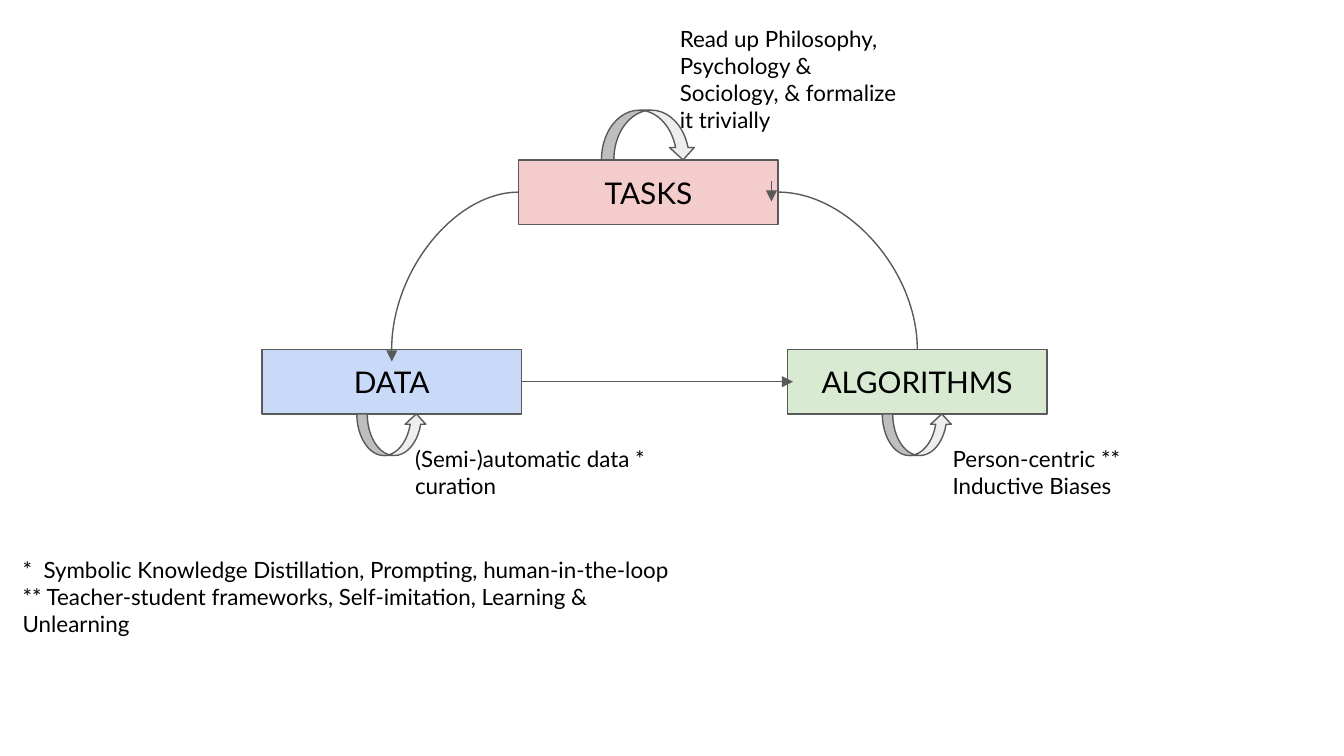
import pptx
import pptx.util
import pptx.dml.color
import pptx.enum.shapes
import pptx.enum.text
import pptx.oxml.ns
from lxml import etree

SHAPES = pptx.enum.shapes.MSO_SHAPE
CONNECTORS = pptx.enum.shapes.MSO_CONNECTOR
ANCHORS = pptx.enum.text.MSO_ANCHOR
ALIGNMENTS = pptx.enum.text.PP_ALIGN

# Square grid: one column or row is a hundredth of the slide's width
COLUMNS = 100
ROWS = COLUMNS * 9 / 16
UNIT = pptx.util.Inches(10) / COLUMNS
STAGE_WIDTH, STAGE_HEIGHT = 19.3, 4.8
TOP, LEFT, BOTTOM, RIGHT = range(4)
INK, GREY, PALE = "000000", "595959", "EEEEEE"


def grid(*lengths):
    return [round(length * UNIT) for length in lengths]


def color(value):
    return pptx.dml.color.RGBColor.from_string(value)


def outline(line):
    line.color.rgb = color(GREY)
    line.width = pptx.util.Pt(0.75)


def add_block(page, kind, box, fill):
    block = page.shapes.add_shape(kind, *grid(*box))
    block.shadow.inherit = False
    block.fill.solid()
    block.fill.fore_color.rgb = color(fill)
    outline(block.line)
    return block


def write(frame, lines, size, alignment=ALIGNMENTS.LEFT):
    frame.word_wrap = True
    frame.margin_left = frame.margin_right = pptx.util.Inches(0.1)
    frame.margin_top = frame.margin_bottom = pptx.util.Inches(0.1)
    frame.text = "\n".join(lines)
    for para in frame.paragraphs:
        para.alignment = alignment
        for span in para.runs:
            span.font.name = "Lato"
            span.font.size = pptx.util.Pt(size)
            span.font.color.rgb = color(INK)


def add_note(page, box, *lines):
    note = page.shapes.add_textbox(*grid(*box))
    write(note.text_frame, lines, 12)
    note.text_frame.auto_size = pptx.enum.text.MSO_AUTO_SIZE.SHAPE_TO_FIT_TEXT


def add_stage(page, box, label, fill, loop_kind, loop_size, note_box, note):
    """A labelled block, a loop centred on its edge, and a note placed from its corner."""
    left, top, width, height = box
    stage = add_block(page, SHAPES.RECTANGLE, box, fill)
    write(stage.text_frame, [label], 16, ALIGNMENTS.CENTER)
    stage.text_frame.vertical_anchor = ANCHORS.MIDDLE

    loop_width, loop_height = loop_size
    above = loop_kind == SHAPES.CURVED_DOWN_ARROW
    loop_top = top - loop_height if above else top + height
    loop_left = left + (width - loop_width) / 2
    add_block(page, loop_kind, (loop_left, loop_top, loop_width, loop_height), PALE)

    right_shift, down_shift, note_width, note_height = note_box
    add_note(page, (left + right_shift, top + down_shift, note_width, note_height), note)
    return stage


def add_line(page, kind, ends):
    line = page.shapes.add_connector(kind, *grid(*ends))
    outline(line.line)
    etree.SubElement(line._element.spPr, pptx.oxml.ns.qn("a:effectLst"))
    return line


def join(page, start, start_side, end, end_side, preset):
    curve = add_line(page, CONNECTORS.CURVE, (0, 0, 0, 0))
    curve.begin_connect(start, start_side)
    curve.end_connect(end, end_side)
    curve._element.spPr.find(pptx.oxml.ns.qn("a:prstGeom")).set("prst", preset)


def add_arrowhead(page, ends):
    arrow = add_line(page, CONNECTORS.STRAIGHT, ends)
    tail = etree.SubElement(arrow.line._get_or_add_ln(), pptx.oxml.ns.qn("a:tailEnd"))
    tail.set("type", "triangle")


def add_cycle(page, box):
    """Three stages in a triangle that fills the box, joined by curves."""
    left, top, width, height = box
    right, low = left + width - STAGE_WIDTH, top + height - STAGE_HEIGHT
    middle = left + (width - STAGE_WIDTH) / 2 - 0.45
    size = (STAGE_WIDTH, STAGE_HEIGHT)

    # Stages
    tasks = add_stage(page, (middle, top, *size), "TASKS", "F4CCCC",
                      SHAPES.CURVED_DOWN_ARROW, (7, 3.7), (11, -11, 19.3, 8.1),
                      "Read up Philosophy, Psychology & Sociology, & formalize it trivially")
    data = add_stage(page, (left, low, *size), "DATA", "C9DAF8",
                     SHAPES.CURVED_UP_ARROW, (5.2, 3.1), (10.4, 6.1, 19.3, 6.1),
                     "(Semi-)automatic data * curation")
    algorithms = add_stage(page, (right, low, *size), "ALGORITHMS", "D9EAD3",
                           SHAPES.CURVED_UP_ARROW, (5.2, 3.1), (11.3, 6.1, 19.3, 6.1),
                           "Person-centric ** Inductive Biases")

    # Curves between the stages
    join(page, tasks, LEFT, data, TOP, "curvedConnector2")
    join(page, data, RIGHT, algorithms, LEFT, "curvedConnector3")
    join(page, tasks, RIGHT, algorithms, TOP, "curvedConnector2")

    # Arrowheads where the curves arrive
    center = left + STAGE_WIDTH / 2
    axis = low + STAGE_HEIGHT / 2
    edge = middle + STAGE_WIDTH - 0.5
    add_arrowhead(page, (right - 1, axis, right + 0.4, axis))
    add_arrowhead(page, (edge, top + 1.6, edge, top + 3.1))
    add_arrowhead(page, (center, low - 0.2, center, low + 0.9))


def main():
    deck = pptx.Presentation()
    deck.slide_width, deck.slide_height = grid(COLUMNS, ROWS)
    page = deck.slides.add_slide(deck.slide_layouts[6])

    add_cycle(page, (19.5, 11.9, 58.4, 18.9))

    # Footnotes
    add_note(page, (0.7, 40.4, 51.4, 6.1),
             "*  Symbolic Knowledge Distillation, Prompting, human-in-the-loop",
             "** Teacher-student frameworks, Self-imitation, Learning & Unlearning")

    deck.save("out.pptx")


if __name__ == "__main__":
    main()
